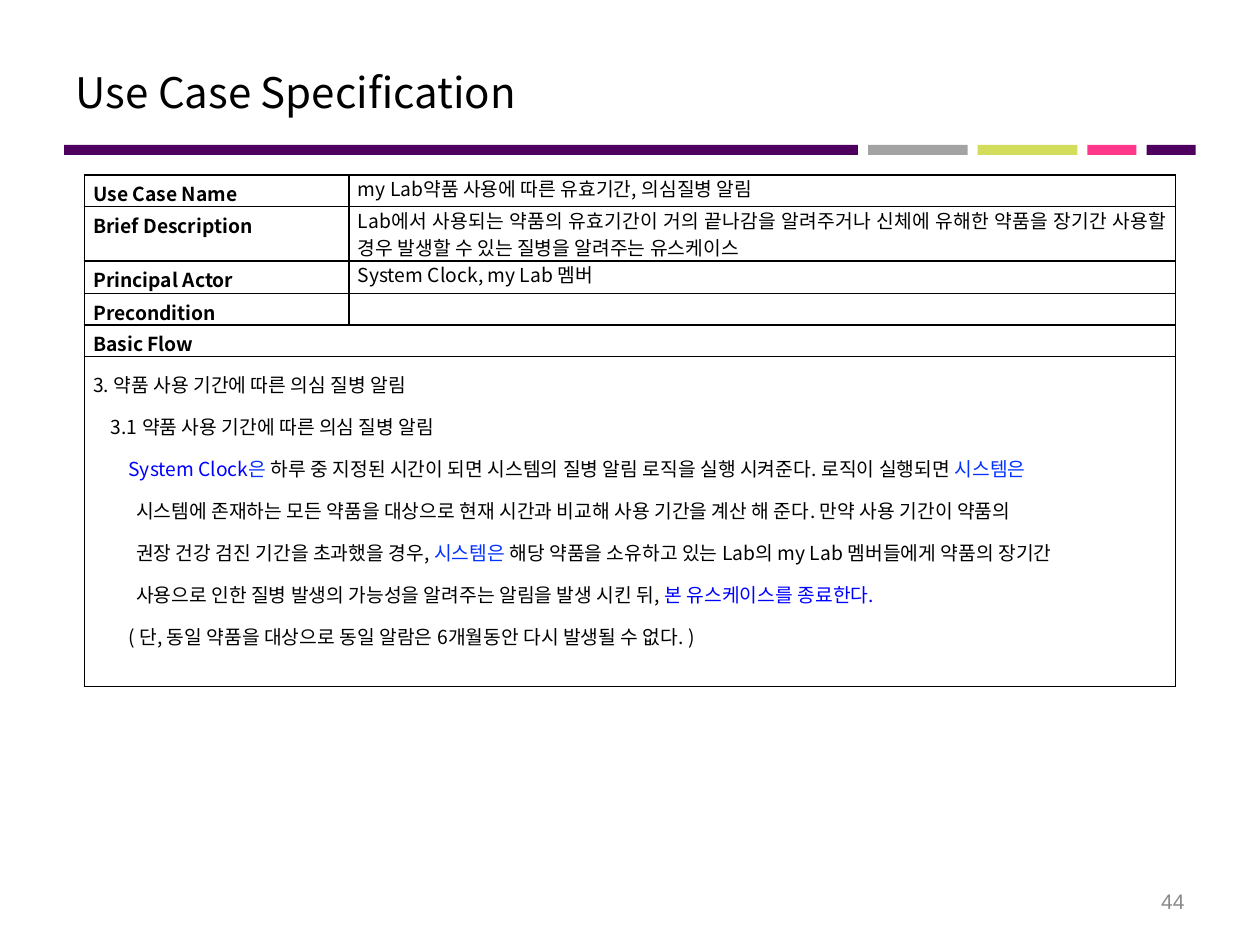
import pptx
import pptx.dml.color
import pptx.enum.shapes
import pptx.enum.text
import pptx.oxml.ns
import pptx.util
from lxml import etree
from pptx.util import Inches

COLORS = {
    "purple": "4E005F", "gray": "A3A3A3", "lime": "D1DD5B", "pink": "FF388C",
    "black": "000000", "white": "FFFFFF", "number": "898989",
    "blue": "0000FF", "azure": "0432FF",
}
FONT = "Noto Sans CJK KR"
ALIGN = pptx.enum.text.PP_ALIGN
ANCHOR = pptx.enum.text.MSO_ANCHOR

BARS = [("purple", 6.3), ("gray", 0.79), ("lime", 0.79), ("pink", 0.39), ("purple", 0.39)]
ROW_HEIGHTS = [0.25, 0.43, 0.26, 0.25, 0.25, 2.62]
FIELDS = [
    ("Use Case Name", "my Lab약품 사용에 따른 유효기간, 의심질병 알림"),
    ("Brief Description", "Lab에서 사용되는 약품의 유효기간이 거의 끝나감을 알려주거나 신체에 유해한 "
     "약품을 장기간 사용할 경우 발생할 수 있는 질병을 알려주는 유스케이스"),
    ("Principal Actor", "System Clock, my Lab 멤버"),
    ("Precondition", ""),
]
FLOW = [
    (0, [("3. 약품 사용 기간에 따른 의심 질병 알림", "black")]),
    (0.14, [("3.1 약품 사용 기간에 따른 의심 질병 알림", "black")]),
    (0.28, [("System Clock", "blue"), ("은 ", "azure"),
            ("하루 중 지정된 시간이 되면 시스템의 질병 알림 로직을 실행 시켜준다. 로직이 실행되면 ", "black"),
            ("시스템은", "azure")]),
    (0.34, [("시스템에 존재하는 모든 약품을 대상으로 현재 시간과 비교해 사용 기간을 계산 해 준다. "
             "만약 사용 기간이 약품의", "black")]),
    (0.34, [("권장 건강 검진 기간을 초과했을 경우, ", "black"), ("시스템은 ", "azure"),
            ("해당 약품을 소유하고 있는 Lab의 my Lab 멤버들에게 약품의 장기간", "black")]),
    (0.34, [("사용으로 인한 질병 발생의 가능성을 알려주는 알림을 발생 시킨 뒤,", "black"),
            (" 본 유스케이스를 종료한다.", "blue")]),
    (0.28, [("( 단, 동일 약품을 대상으로 동일 알람은 6개월동안 다시 발생될 수 없다. )", "black")]),
]


def color(name):
    """Return the named colour."""
    return pptx.dml.color.RGBColor.from_string(COLORS[name])


def format_span(span, size, shade="black", bold=False, font=FONT):
    """Format a run, for Latin and East Asian letters alike."""
    span.font.size = pptx.util.Pt(size)
    span.font.bold = bold
    span.font.name = font
    span.font.color.rgb = color(shade)
    east_asian = etree.SubElement(span.font._element, pptx.oxml.ns.qn("a:ea"))
    east_asian.set("typeface", font)


def write_para(para, spans, spacing, bold=False, indent=0):
    """Fill a justified table paragraph; indented text is set without kerning."""
    para.alignment = ALIGN.JUSTIFY
    para.line_spacing = spacing
    para._p.get_or_add_pPr().set("marL", str(Inches(indent)))
    for text, shade in spans:
        span = para.add_run()
        span.text = text
        format_span(span, 11, shade, bold)
        if indent:
            span.font._element.set("kern", "0")
    if not spans:
        para._p.get_or_add_endParaRPr().set("sz", "1100")


def style_cell(cell):
    """Give a cell black borders, a white fill and tight margins."""
    properties = cell._tc.get_or_add_tcPr()
    for side in ("lnL", "lnR", "lnT", "lnB"):
        line = etree.SubElement(properties, pptx.oxml.ns.qn(f"a:{side}"), w=str(pptx.util.Pt(1)))
        fill = etree.SubElement(line, pptx.oxml.ns.qn("a:solidFill"))
        etree.SubElement(fill, pptx.oxml.ns.qn("a:srgbClr"), val=COLORS["black"])
    cell.fill.solid()
    cell.fill.fore_color.rgb = color("white")
    cell.margin_left = cell.margin_right = Inches(0.07)
    cell.margin_top = cell.margin_bottom = 0


def add_title(page, left, top, width, height):
    """Place the slide title in its placeholder."""
    title = page.shapes.title
    title.left, title.top, title.width, title.height = left, top, width, height
    frame = title.text_frame
    frame.text = "Use Case Specification"
    frame.vertical_anchor = ANCHOR.MIDDLE
    frame.paragraphs[0].alignment = ALIGN.LEFT
    format_span(frame.paragraphs[0].runs[0], 24)


def add_bars(page, left, top, height):
    """Draw the row of coloured bars from left to right."""
    for shade, width in BARS:
        bar = page.shapes.add_shape(
            pptx.enum.shapes.MSO_SHAPE.RECTANGLE, left, top, Inches(width), height)
        bar.shadow.inherit = False
        bar.fill.solid()
        bar.fill.fore_color.rgb = color(shade)
        bar.line.fill.background()
        left += Inches(width + 0.08)


def add_specification(page, left, top, width, height):
    """Build the use case table."""
    row_count = len(ROW_HEIGHTS)
    table = page.shapes.add_table(row_count, 2, left, top, width, height).table
    table.first_row = table.horz_banding = False
    table.columns[0].width = Inches(2.1)
    table.columns[1].width = width - Inches(2.1)
    for row, row_height in zip(table.rows, ROW_HEIGHTS):
        row.height = Inches(row_height)
    for cell in table.iter_cells():
        style_cell(cell)
    for index, (label, value) in enumerate(FIELDS):
        write_para(table.cell(index, 0).text_frame.paragraphs[0], [(label, "black")], 1.15, True)
        spans = [(value, "black")] if value else []
        write_para(table.cell(index, 1).text_frame.paragraphs[0], spans, 0.97)
    for index in (row_count - 2, row_count - 1):
        table.cell(index, 0).merge(table.cell(index, 1))
    heading = table.cell(row_count - 2, 0).text_frame
    write_para(heading.paragraphs[0], [("Basic Flow", "black")], 1.15, True)
    frame = table.cell(row_count - 1, 0).text_frame
    for index, (indent, spans) in enumerate(FLOW):
        para = frame.add_paragraph() if index else frame.paragraphs[0]
        write_para(para, spans, 1.5, indent=indent)


def add_page_number(page, left, top, width, height):
    """Write the page number at the lower right."""
    frame = page.shapes.add_textbox(left, top, width, height).text_frame
    frame.word_wrap = True
    frame.vertical_anchor = ANCHOR.MIDDLE
    frame.text = "44"
    frame.paragraphs[0].alignment = ALIGN.RIGHT
    format_span(frame.paragraphs[0].runs[0], 12, "number", font="Arial")


def main():
    """Build and save the deck."""
    deck = pptx.Presentation()
    deck.slide_width, deck.slide_height = Inches(10), Inches(7.5)
    page = deck.slides.add_slide(deck.slide_layouts[5])
    add_bars(page, Inches(0.51), Inches(1.15), Inches(0.08))
    add_title(page, Inches(0.5), Inches(0.3), Inches(9), Inches(0.85))
    add_page_number(page, Inches(7.17), Inches(6.95), Inches(2.33), Inches(0.4))
    add_specification(page, Inches(0.67), Inches(1.39), Inches(8.66), Inches(sum(ROW_HEIGHTS)))
    deck.save("out.pptx")


if __name__ == "__main__":
    main()
